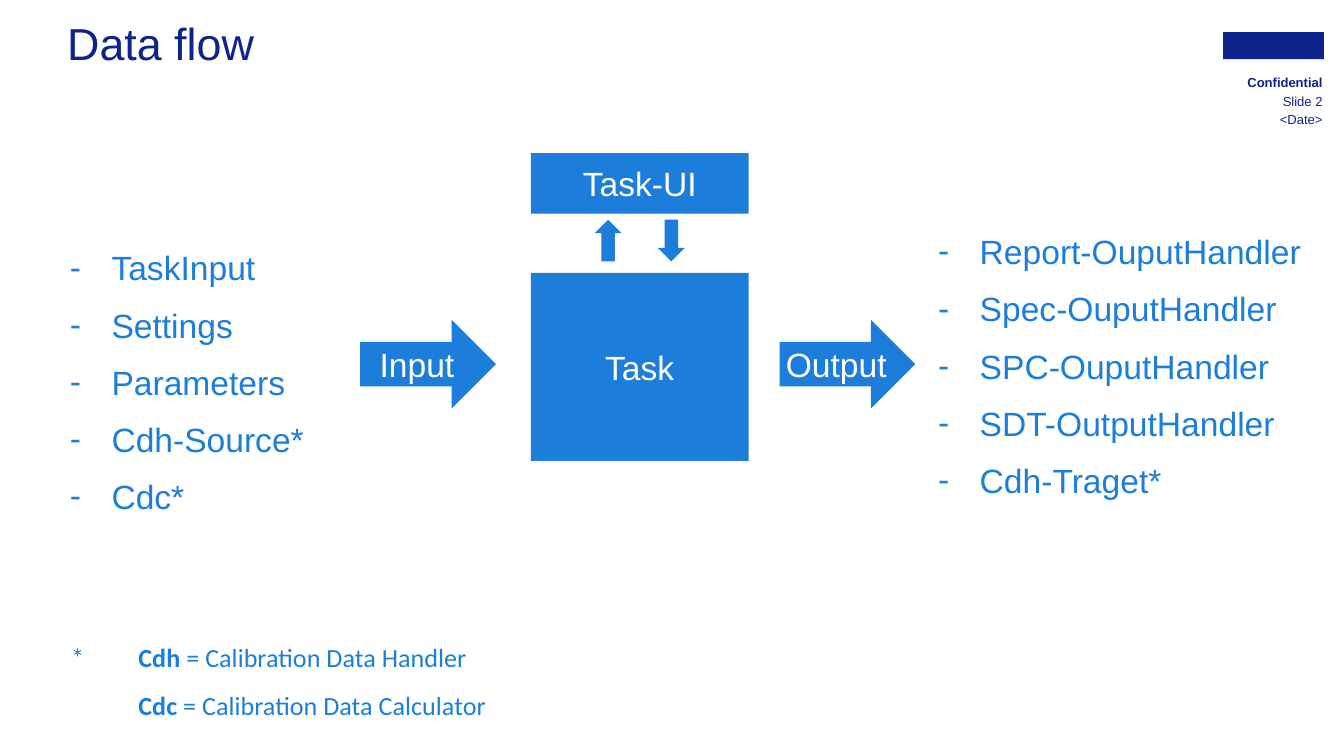
from lxml.etree import SubElement
from pptx import Presentation
from pptx.dml.color import RGBColor
from pptx.enum.shapes import MSO_SHAPE
from pptx.enum.text import MSO_ANCHOR, MSO_AUTO_SIZE, PP_ALIGN
from pptx.oxml.ns import qn
from pptx.util import Inches, Pt

# Content
COLORS = {"navy": "0F238C", "blue": "1C7DDB", "white": "FFFFFF"}
TITLE = "Data flow"
INPUTS = ["TaskInput", "Settings", "Parameters", "Cdh-Source*", "Cdc*"]
OUTPUTS = ["Report-OuputHandler", "Spec-OuputHandler", "SPC-OuputHandler",
           "SDT-OutputHandler", "Cdh-Traget*"]
FOOTNOTES = [("*\t", "Cdh", " = Calibration Data Handler"),
             ("\t", "Cdc", " = Calibration Data Calculator")]
PAGE_INFO = [("Confidential", True, None), ("Slide 2", False, 8), ("<Date>", False, 7)]

# Layout in inches
TASK_X, TASK_W = 3.95, 1.62
ARROW_Y, ARROW_W, ARROW_H = 2.38, 1.01, 0.66
INFO_Y, INFO_BOTTOM = 0.56, 0.85
FLOW = [
    (MSO_SHAPE.RECTANGLE, "Task", (TASK_X, 2.03, TASK_W, 1.4), 0),
    (MSO_SHAPE.RECTANGLE, "Task-UI", (TASK_X, 1.14, TASK_W, 0.45), 0),
    (MSO_SHAPE.RIGHT_ARROW, "Input", (2.68, ARROW_Y, ARROW_W, ARROW_H), 0),
    (MSO_SHAPE.RIGHT_ARROW, "Output", (5.8, ARROW_Y, ARROW_W, ARROW_H), 0),
    (MSO_SHAPE.RIGHT_ARROW, "", (4.37, 1.69, 0.31, 0.2), 270),
    (MSO_SHAPE.RIGHT_ARROW, "", (4.84, 1.69, 0.31, 0.2), 90),
]

prs = Presentation()
prs.slide_width = Inches(10)
prs.slide_height = prs.slide_width * 9 // 16
slide = prs.slides.add_slide(prs.slide_layouts[3])
title, input_list, output_list = slide.placeholders


def rgb(name):
    return RGBColor.from_string(COLORS[name])


def place(sp, box):
    sp.left, sp.top, sp.width, sp.height = map(Inches, box)


def setup_frame(sp, anchor=MSO_ANCHOR.TOP):
    tf = sp.text_frame
    tf.margin_left = tf.margin_right = tf.margin_top = tf.margin_bottom = 0
    tf.word_wrap = True
    tf.auto_size = MSO_AUTO_SIZE.NONE
    tf.vertical_anchor = anchor
    return tf


def add_paragraph(tf, first, align=PP_ALIGN.LEFT, after=0):
    p = tf.paragraphs[0] if first else tf.add_paragraph()
    p.alignment = align
    p.space_before, p.space_after = Pt(0), Pt(after)
    return p


def add_run(p, text, size, color, bold=False, font="Arial"):
    r = p.add_run()
    r.text = text
    r.font.size, r.font.name, r.font.bold = Pt(size), font, bold
    r.font.color.rgb = rgb(color)


def add_shape(kind, box, color):
    sp = slide.shapes.add_shape(kind, *map(Inches, box))
    sp.shadow.inherit = False
    sp.fill.solid()
    sp.fill.fore_color.rgb = rgb(color)
    sp.line.fill.background()
    return sp


# Title
place(title, (0.5, 0.12, 8.32, 0.36))
add_run(add_paragraph(setup_frame(title), True), TITLE, 24, "navy")

# Brand block and page details
add_shape(MSO_SHAPE.RECTANGLE, (9.1, 0.24, 0.75, 0.2), "navy")
info_step = (INFO_BOTTOM - INFO_Y) / (len(PAGE_INFO) - 1)
for i, (text, bold, leading) in enumerate(PAGE_INFO):
    box = (9.02, INFO_Y + i * info_step, 0.82, 0.1)
    sp = slide.shapes.add_textbox(*map(Inches, box))
    p = add_paragraph(setup_frame(sp, MSO_ANCHOR.MIDDLE), True, PP_ALIGN.RIGHT)
    if leading:
        p.line_spacing = Pt(leading)
    add_run(p, text, 7, "navy", bold)

# Task boxes and arrows
for kind, text, box, rotation in FLOW:
    sp = add_shape(kind, box, "blue")
    sp.rotation = rotation
    if text:
        p = add_paragraph(setup_frame(sp, MSO_ANCHOR.MIDDLE), True, PP_ALIGN.CENTER)
        add_run(p, text, 18, "white")

# Input and output lists
for sp, items, box in [(input_list, INPUTS, (0.52, 1.84, 1.76, 2.02)),
                       (output_list, OUTPUTS, (6.98, 1.72, 2.73, 2.02))]:
    place(sp, box)
    tf = setup_frame(sp)
    for i, item in enumerate(items):
        p = add_paragraph(tf, i == 0, after=9)
        pPr = p._p.get_or_add_pPr()
        pPr.set("marL", str(Inches(0.31)))
        pPr.set("indent", str(-Inches(0.31)))
        SubElement(pPr, qn("a:buFont"), typeface="Arial")
        SubElement(pPr, qn("a:buChar"), char="-")
        add_run(p, item, 18, "blue")

# Footnotes
tf = setup_frame(slide.shapes.add_textbox(*map(Inches, (0.53, 4.77, 3.12, 0.6))))
for i, parts in enumerate(FOOTNOTES):
    p = add_paragraph(tf, i == 0, after=9)
    tabs = SubElement(p._p.get_or_add_pPr(), qn("a:tabLst"))
    SubElement(tabs, qn("a:tab"), pos=str(Inches(0.5)), algn="l")
    for j, text in enumerate(parts):
        add_run(p, text, 14, "blue", bold=j == 1, font="Calibri")

prs.save("out.pptx")
